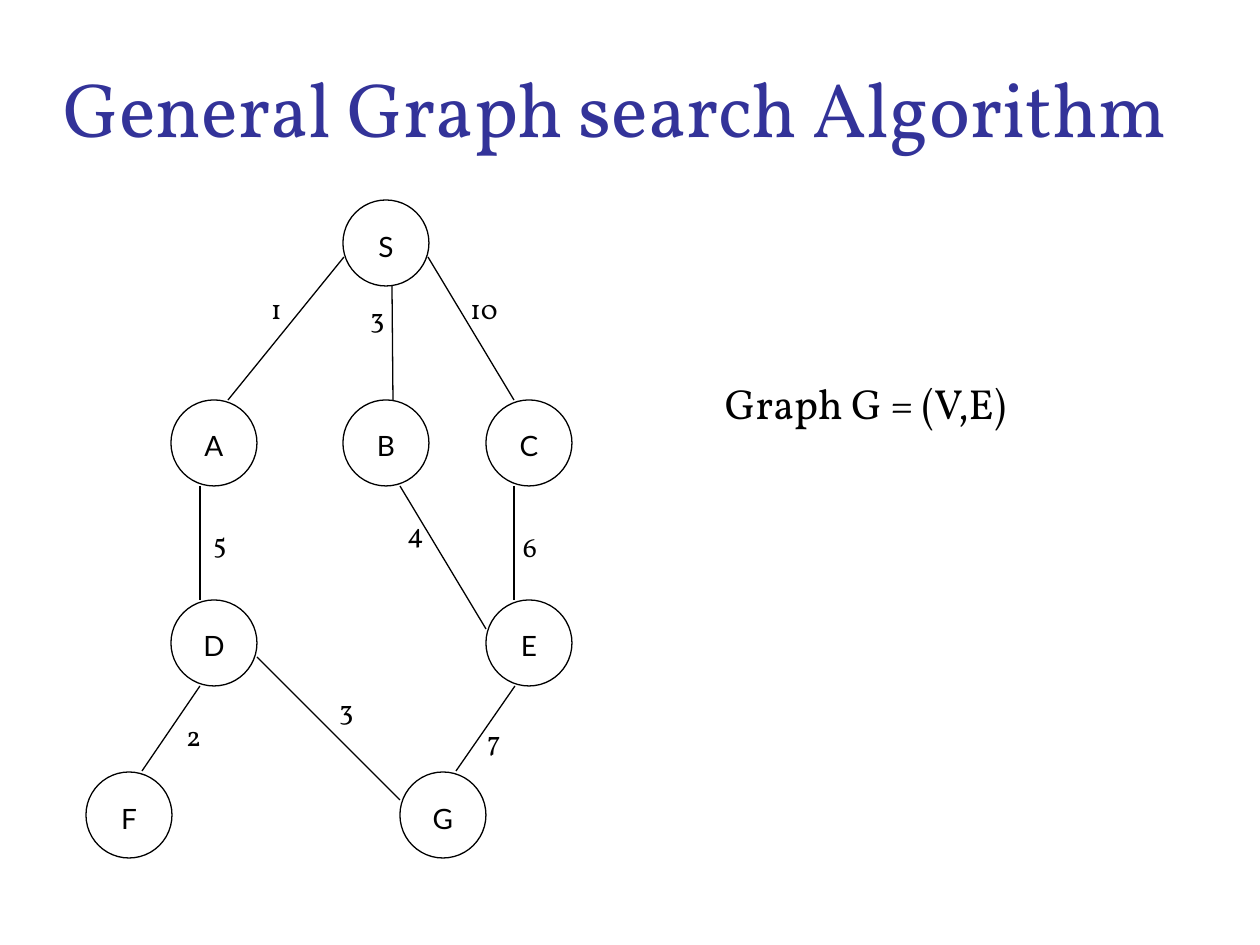
from pptx import Presentation
from pptx.dml.color import RGBColor
from pptx.enum.shapes import MSO_CONNECTOR, MSO_SHAPE
from pptx.enum.text import MSO_ANCHOR, MSO_AUTO_SIZE, PP_ALIGN
from pptx.oxml.ns import qn
from pptx.util import Emu, Pt

EMU_PER_PX = 914400 / 126
BLACK = RGBColor(0x00, 0x00, 0x00)
TITLE_BLUE = RGBColor(0x33, 0x33, 0x99)
TEXT_FONT = "Vollkorn"
NODE_FONT = "Lato"
NODE_SIZE = 86

# Node name: left, top
NODES = {
    "S": (343, 200),
    "A": (171, 400), "B": (343, 400), "C": (486, 400),
    "D": (171, 600), "E": (486, 600),
    "F": (86, 772), "G": (400, 772),
}

# Weight, line start, line end, label corner
EDGES = [
    ("1", (344, 257), (228, 400), (260, 286)),   # S-A
    ("3", (392, 286), (393, 400), (359, 295)),   # S-B
    ("10", (428, 257), (514, 400), (459, 286)),  # S-C
    ("5", (200, 486), (200, 600), (202, 520)),   # A-D
    ("4", (400, 486), (486, 629), (396, 510)),   # B-E
    ("6", (514, 486), (514, 600), (512, 524)),   # C-E
    ("2", (200, 686), (142, 771), (175, 713)),   # D-F
    ("3", (257, 657), (400, 800), (328, 687)),   # D-G
    ("7", (515, 686), (456, 771), (476, 718)),   # E-G
]


def px(length):
    return Emu(round(length * EMU_PER_PX))


def box(*lengths):
    return [px(length) for length in lengths]


def write_text(shape, text, font_name, size, color=BLACK, align=PP_ALIGN.LEFT,
               anchor=MSO_ANCHOR.TOP, spacing=1.02, insets=(11, 5)):
    frame = shape.text_frame
    frame.word_wrap = True
    frame.vertical_anchor = anchor
    frame.margin_left = frame.margin_right = px(insets[0])
    frame.margin_top = frame.margin_bottom = px(insets[1])
    paragraph = frame.paragraphs[0]
    paragraph.text = text
    paragraph.alignment = align
    paragraph.line_spacing = spacing
    paragraph.font.name = font_name
    paragraph.font.size = Pt(size)
    paragraph.font.color.rgb = color


def set_line(shape):
    shape.line.color.rgb = BLACK
    shape.line.width = Pt(0.75)


def add_title(slide, text):
    title = slide.shapes.title
    title.left, title.top, title.width, title.height = box(63, 32, 1134, 147)
    title.text_frame.auto_size = MSO_AUTO_SIZE.NONE
    write_text(title, text, TEXT_FONT, 44, TITLE_BLUE,
               anchor=MSO_ANCHOR.MIDDLE, insets=(0, 0))


def add_node(slide, name, left, top):
    node = slide.shapes.add_shape(
        MSO_SHAPE.OVAL, *box(left, top, NODE_SIZE, NODE_SIZE))
    node.shadow.inherit = False
    node.fill.background()
    set_line(node)
    write_text(node, name, NODE_FONT, 16, align=PP_ALIGN.CENTER,
               anchor=MSO_ANCHOR.MIDDLE, spacing=1.17)


def add_edge(slide, start, end):
    edge = slide.shapes.add_connector(
        MSO_CONNECTOR.STRAIGHT, *box(*start, *end))
    set_line(edge)
    properties = edge._element.spPr
    properties.append(properties.makeelement(qn("a:effectLst"), {}))


def add_label(slide, text, left, top, width=57, height=45, size=16):
    label = slide.shapes.add_textbox(*box(left, top, width, height))
    label.text_frame.auto_size = MSO_AUTO_SIZE.SHAPE_TO_FIT_TEXT
    write_text(label, text, TEXT_FONT, size)


def main():
    presentation = Presentation()
    presentation.slide_width, presentation.slide_height = box(1260, 945)
    slide = presentation.slides.add_slide(presentation.slide_layouts[5])
    add_title(slide, "General Graph search Algorithm")

    # Graph
    for name, (left, top) in NODES.items():
        add_node(slide, name, left, top)
    for weight, start, end, corner in EDGES:
        add_edge(slide, start, end)
        add_label(slide, weight, *corner)

    # Definition beside the graph
    add_label(slide, "Graph G = (V,E)", 714, 372, 372, 63, 24)
    presentation.save("out.pptx")


if __name__ == "__main__":
    main()
